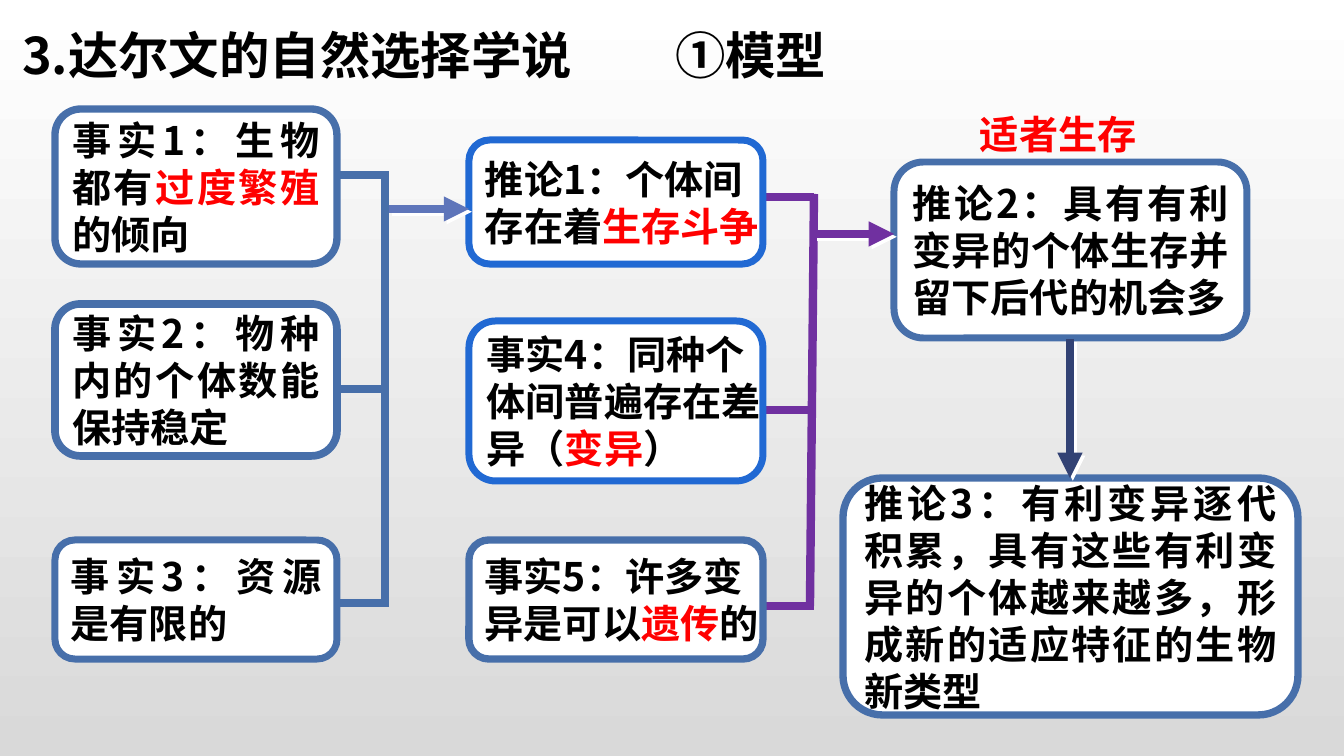
from pptx import Presentation
from pptx.dml.color import RGBColor
from pptx.enum.shapes import MSO_CONNECTOR as Conn, MSO_SHAPE as Kind
from pptx.enum.text import MSO_ANCHOR as Anchor, PP_ALIGN as Align
from pptx.oxml import parse_xml
from pptx.oxml.ns import nsdecls
from pptx.util import Pt

SCALE = 914400 / 100.8
FONT = "Noto Sans CJK SC"
HUES = {"ink": "000000", "red": "FF0000", "white": "FFFFFF", "grey": "D9D9D9",
        "steel": "476FAA", "blue": "2169D3", "purple": "7030A0",
        "slate": "5E75BA", "navy": "324274"}

# place, line colour, line width, wrap, paragraphs (*...* marks red words)
CARDS = [
    ((55, 109, 282, 155), "steel", 5.25, True, ["事实1：生物都有*过度繁殖*的倾向"]),
    ((55, 304, 282, 152), "steel", 5.5, True, ["事实2：物种内的个体数能保持稳定"]),
    ((55, 540, 282, 119), "steel", 5, True, ["事实3：资源是有限的"]),
    ((469, 140, 294, 124), "blue", 5, False, ["推论1：个体间", "存在着*生存斗争*"]),
    ((469, 321, 294, 160), "blue", 5, False,
     ["事实4：同种个", "体间普遍存在差", "异（*变异*）"]),
    ((469, 540, 294, 119), "steel", 5.25, False, ["事实5：许多变", "异是可以*遗传*的"]),
    ((894, 162, 353, 176), "steel", 5, True,
     ["推论2：具有有利变异的个体生存并留下后代的机会多"]),
    ((843, 478, 455, 237), "steel", 5.25, True,
     ["推论3：有利变异逐代积累，具有这些有利变异的个体越来越多，形成新的适应特征的生物新类型"]),
]


def px(num):
    return round(num * SCALE)


def hue(name):
    return RGBColor.from_string(HUES[name])


def style(run, size, color):
    font = run.font
    font.name, font.size, font.bold = FONT, Pt(size), True
    font.color.rgb = hue(color)
    run._r.get_or_add_rPr().append(
        parse_xml(f'<a:ea {nsdecls("a")} typeface="{FONT}"/>'))


def place(shape, box):
    shape.left, shape.top, shape.width, shape.height = map(px, box)


def add_title(slide, box, text, stop):
    title = slide.shapes.title
    place(title, box)
    frame = title.text_frame
    frame.vertical_anchor = Anchor.TOP
    frame.text = text
    para = frame.paragraphs[0]
    para.alignment = Align.LEFT
    para._p.get_or_add_pPr().append(parse_xml(
        f'<a:tabLst {nsdecls("a")}><a:tab pos="{px(stop)}" algn="l"/></a:tabLst>'))
    style(para.runs[0], 36, "ink")


def add_label(slide, box, text, color):
    frame = slide.shapes.add_textbox(*map(px, box)).text_frame
    frame.word_wrap = True
    frame.text = text
    style(frame.paragraphs[0].runs[0], 28, color)


def add_card(slide, box, color, width, wrap, lines):
    card = slide.shapes.add_shape(Kind.ROUNDED_RECTANGLE, *map(px, box))
    card.shadow.inherit = False
    card.fill.solid()
    card.fill.fore_color.rgb = hue("white")
    card.line.color.rgb = hue(color)
    card.line.width = Pt(width)
    frame = card.text_frame
    frame.word_wrap = wrap
    frame.vertical_anchor = Anchor.MIDDLE
    frame.text = "\n".join(lines)
    for para, line in zip(frame.paragraphs, lines):
        para.alignment = Align.JUSTIFY
        first, *rest = line.split("*")
        para.text = first
        for part in rest:
            para.add_run().text = part
        for num, run in enumerate(para.runs):
            style(run, 28, "red" if num % 2 else "ink")


def add_line(slide, ends, color, width, effect=""):
    link = slide.shapes.add_connector(Conn.STRAIGHT, *map(px, ends))
    link.line.color.rgb = hue(color)
    link.line.width = Pt(width)
    link._element.spPr.append(parse_xml(
        f'<a:effectLst {nsdecls("a")}>{effect}</a:effectLst>'))
    return link


def add_arrow(slide, ends, color):
    glow = (f'<a:outerShdw dist="{Pt(2.8)}" dir="2700000" algn="tl">'
            f'<a:srgbClr val="{HUES["white"]}"/></a:outerShdw>')
    link = add_line(slide, ends, color, 6, glow)
    link.line._get_or_add_ln().append(
        parse_xml(f'<a:tailEnd {nsdecls("a")} type="triangle"/>'))


def add_bracket(slide, left, right, rows, spine, color, width):
    """Join three rows from the left to one upright spine."""
    for row in rows:
        add_line(slide, (left, row, right, row), color, width)
    add_line(slide, spine, color, width)


def paint(slide):
    fill = slide.background.fill
    fill.gradient()
    fill.gradient_angle = 270
    for stop, name in zip(fill.gradient_stops, ("white", "grey")):
        stop.color.rgb = hue(name)


def main():
    deck = Presentation()
    deck.slide_width, deck.slide_height = px(1344), px(756)
    slide = deck.slides.add_slide(deck.slide_layouts[5])
    paint(slide)
    add_title(slide, (12, 19, 974, 72), "3.达尔文的自然选择学说\t①模型", 653)
    add_bracket(slide, 338, 389, (175, 389, 603), (385, 172, 385, 606), "steel", 5.25)
    add_bracket(slide, 763, 814, (197, 410, 606), (814, 194, 810, 606), "purple", 6)
    for card in CARDS:
        add_card(slide, *card)
    add_arrow(slide, (389, 209, 469, 209), "slate")
    add_arrow(slide, (814, 234, 894, 234), "purple")
    add_arrow(slide, (1070, 339, 1070, 478), "navy")
    add_label(slide, (970, 105, 201, 57), "适者生存", "red")
    deck.save("out.pptx")


if __name__ == "__main__":
    main()
